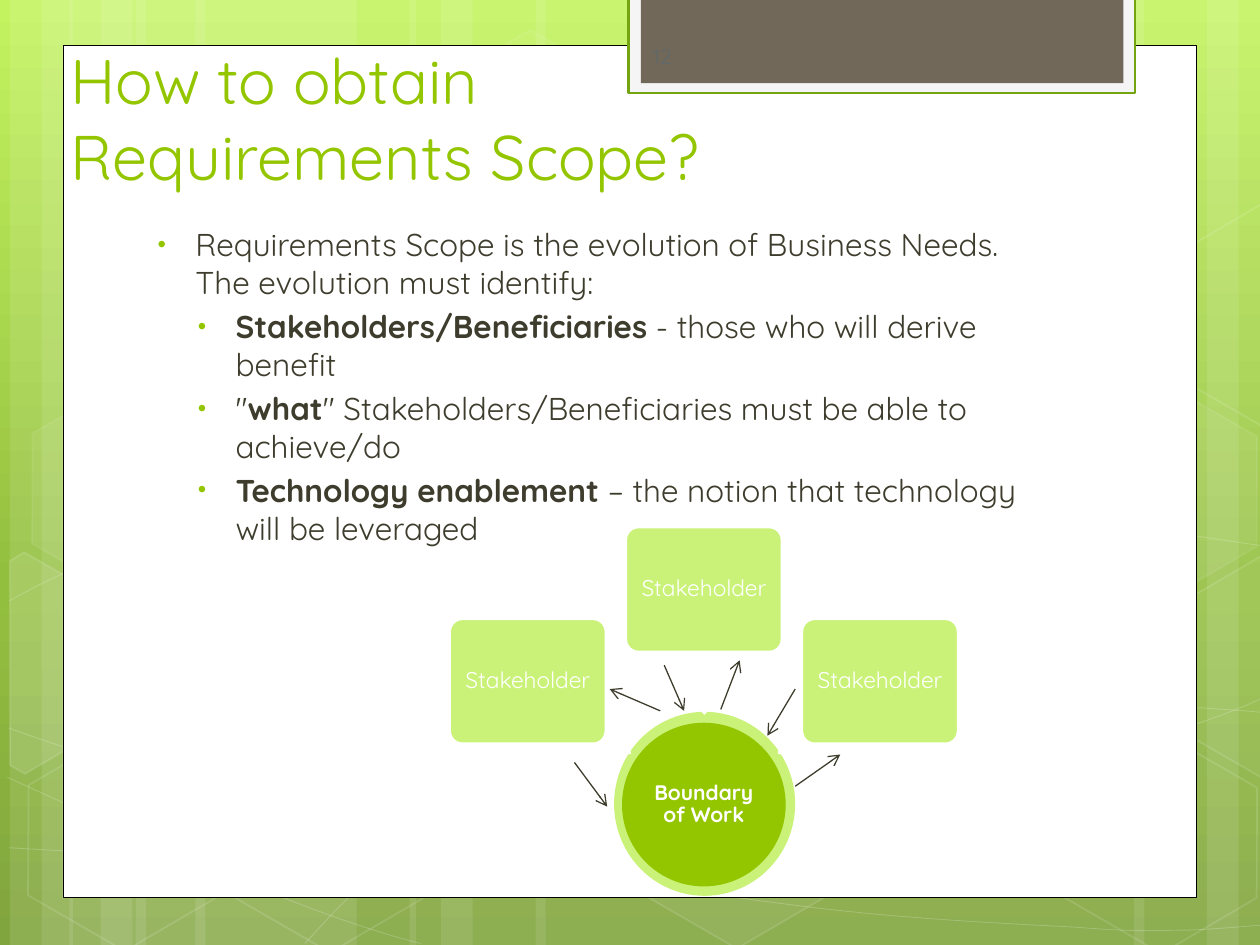
from copy import deepcopy

from lxml import etree
from pptx import Presentation
from pptx.dml.color import RGBColor
from pptx.enum.shapes import MSO_CONNECTOR, MSO_SHAPE
from pptx.enum.text import MSO_ANCHOR, PP_ALIGN
from pptx.oxml.ns import qn
from pptx.util import Cm, Pt

RECT, ELLIPSE, HEXAGON = MSO_SHAPE.RECTANGLE, MSO_SHAPE.OVAL, MSO_SHAPE.HEXAGON
ROUNDED, LEFT_ARROW = MSO_SHAPE.ROUNDED_RECTANGLE, MSO_SHAPE.LEFT_ARROW
STRAIGHT = MSO_CONNECTOR.STRAIGHT
MIDDLE, BOTTOM, TOP = MSO_ANCHOR.MIDDLE, MSO_ANCHOR.BOTTOM, MSO_ANCHOR.TOP
CENTER, LEFT = PP_ALIGN.CENTER, PP_ALIGN.LEFT

WHITE, GREEN, LIME, INK = "FFFFFF", "94C600", "CAF278", "3E3D2D"
BACKDROP = [(0, "C3F35F"), (0.62, "93BF3F"), (1, "81A53E")]


def rgb(value):
    return RGBColor.from_string(value)


class SlideBuilder:
    font = "Quicksand"

    def __init__(self, slide):
        self.slide = slide
        self.shapes = slide.shapes

    def backdrop(self, stops):
        fill = self.slide.background.fill
        fill.gradient()
        fill.gradient_angle = 270
        stop_list = self.slide._element.find(".//" + qn("a:gsLst"))
        stop_list.append(deepcopy(stop_list[0]))
        for stop, (position, color) in zip(fill.gradient_stops, stops):
            stop.position = position
            stop.color.rgb = rgb(color)

    def paint(self, shape, fill=None, alpha=100, line=None, weight=1, line_alpha=100):
        shape.shadow.inherit = False
        parts = [(shape.fill, shape._element.spPr, fill, alpha),
                 (shape.line.fill, shape.line._ln, line, line_alpha)]
        for part, owner, color, opacity in parts:
            if color is None:
                part.background()
                continue
            part.solid()
            part.fore_color.rgb = rgb(color)
            if opacity < 100:
                shade = owner.find(qn("a:solidFill"))[0]
                etree.SubElement(shade, qn("a:alpha"), val=str(opacity * 1000))
        if line:
            shape.line.width = Pt(weight)

    def shape(self, kind, left, top, width, height, fill=None, rotation=0, adjust=(), **paint):
        shape = self.shapes.add_shape(kind, Cm(left), Cm(top), Cm(width), Cm(height))
        shape.rotation = rotation
        for i, value in enumerate(adjust):
            shape.adjustments[i] = value
        self.paint(shape, fill, **paint)
        return shape

    def outline(self, points, closed=False, rotation=0, **paint):
        builder = self.shapes.build_freeform(*(Cm(v) for v in points[0]), scale=1.0)
        builder.add_line_segments([(Cm(x), Cm(y)) for x, y in points[1:]], close=closed)
        shape = builder.convert_to_shape()
        shape.rotation = rotation
        self.paint(shape, **paint)
        return shape

    def curve(self, points, **paint):
        """Chain of cubic curves: a start, then two controls and an end for each."""
        segments = list(self.outline(points, **paint)._element.iter(qn("a:lnTo")))
        for i in range(0, len(segments), 3):
            cubic = etree.Element(qn("a:cubicBezTo"))
            segments[i].addprevious(cubic)
            for segment in segments[i:i + 3]:
                cubic.append(segment[0])
                segment.getparent().remove(segment)

    def text(self, shape, paragraphs, size, color, anchor=TOP, align=LEFT,
             inset=(0.25, 0.13), bold=None, spacing=None):
        """Each paragraph is a list of (text, bold) runs."""
        frame = shape.text_frame
        frame.word_wrap = True
        frame.vertical_anchor = anchor
        frame.margin_left = frame.margin_right = Cm(inset[0])
        frame.margin_top = frame.margin_bottom = Cm(inset[1])
        for i, runs in enumerate(paragraphs):
            paragraph = frame.add_paragraph() if i else frame.paragraphs[0]
            paragraph.alignment = align
            paragraph.line_spacing = spacing
            font = paragraph.font
            font.name, font.size, font.bold = self.font, Pt(size), bold
            font.color.rgb = rgb(color)
            paragraph._p.pPr.find(qn("a:defRPr")).set("kern", "0")
            for words, strong in runs:
                run = paragraph.add_run()
                run.text = words
                if strong:
                    run.font.bold = True
        return frame

    def title(self, words, left, top, width, height):
        title = self.shapes.title
        self.shapes._spTree.append(title._element)
        title.left, title.top, title.width, title.height = map(Cm, (left, top, width, height))
        title.text_frame.text = words
        self.text(title, [[]], 36, GREEN, anchor=BOTTOM)

    def textbox(self, left, top, width, height, paragraphs, size, color):
        box = self.shapes.add_textbox(Cm(left), Cm(top), Cm(width), Cm(height))
        return self.text(box, paragraphs, size, color)

    def bullet(self, paragraph, level, margin):
        paragraph.level = level
        paragraph.space_before = Pt(3.6)
        props = paragraph._p.get_or_add_pPr()
        props.set("marL", str(Cm(margin)))
        props.set("indent", str(Cm(-0.76)))
        color = etree.Element(qn("a:buClr"))
        etree.SubElement(color, qn("a:srgbClr"), val=GREEN)
        marks = [color, etree.Element(qn("a:buSzPct"), val="76000"),
                 etree.Element(qn("a:buFont"), typeface="Arial"),
                 etree.Element(qn("a:buChar"), char="•")]
        defaults = props.find(qn("a:defRPr"))
        for mark in marks:
            defaults.addprevious(mark)

    def arrow(self, x1, y1, x2, y2):
        arrow = self.shapes.add_connector(STRAIGHT, Cm(x1), Cm(y1), Cm(x2), Cm(y2))
        arrow.line.color.rgb = rgb(INK)
        arrow.line.width = Pt(0.75)
        etree.SubElement(arrow.line._ln, qn("a:tailEnd"), type="arrow")
        etree.SubElement(arrow._element.spPr, qn("a:effectLst"))


deck = Presentation()
deck.slide_width, deck.slide_height = Cm(25.4), Cm(19.05)
page = SlideBuilder(deck.slides.add_slide(deck.slide_layouts[5]))

# Backdrop: gradient, light bands, thin curves and hexagons
page.backdrop(BACKDROP)
for left, width, turn in [(2.74, 4.45, 0), (0.2, 1.27, 0), (0.84, 2.11, 0), (3.94, 4.45, 0),
                          (1.4, 1.27, 0), (2.03, 2.11, 0), (18.62, 4.45, 180),
                          (24.33, 1.27, 180), (22.86, 2.11, 180), (10.8, 7.82, 0),
                          (8.26, 1.27, 0), (8.89, 2.11, 0)]:
    page.shape(RECT, left, 0, width, 19.05, WHITE, rotation=turn, alpha=10)

curves = [
    [(0.18, 17.09), (1.55, 17.17), (2.92, 17.25), (4.83, 17.22), (6.73, 17.2), (9.09, 17.15),
     (11.63, 16.89), (14.17, 16.64), (17.78, 16.15), (20.12, 15.67), (22.43, 15.19),
     (24.82, 14.43), (25.58, 14)],
    [(0.18, 12.12), (0.91, 11.71), (1.65, 11.33), (3.07, 10.95), (4.52, 10.52), (6.58, 10.01),
     (8.81, 9.83), (11.07, 9.65), (13.82, 9.63), (16.61, 9.83), (19.41, 10.03),
     (24.05, 10.82), (25.58, 11.02)],
    [(0.15, 15.67), (3.23, 17.07), (6.27, 18.47), (8.48, 19.02)],
    [(0.18, 14.68), (0.97, 14.96), (1.78, 15.24), (3.25, 15.65), (4.72, 16.03), (6.93, 16.66),
     (9.07, 17.09), (11.18, 17.53), (13.84, 17.98), (15.95, 18.24), (18.06, 18.52),
     (20.32, 18.62), (21.67, 18.69), (22.99, 18.8), (23.34, 18.75), (24, 18.75),
     (24.66, 18.72), (25.12, 18.67), (25.58, 18.64)],
    [(6.15, 19.02), (6.6, 18.52), (7.06, 18.01), (7.67, 17.55), (8.28, 17.09), (9.14, 16.59),
     (9.86, 16.23), (10.57, 15.88), (11, 15.72), (11.94, 15.47), (12.85, 15.21),
     (14.55, 14.86), (15.44, 14.68), (16.36, 14.5), (16.48, 14.5), (17.27, 14.45),
     (18.06, 14.38), (19.3, 14.3), (20.17, 14.27), (21.06, 14.25), (22.5, 14.27),
     (22.5, 14.27), (23, 14.27), (23.7, 14.27), (24.21, 14.27), (24.66, 14.3),
     (25.1, 14.33), (25.32, 14.35), (25.55, 14.38), (25.48, 14.35), (25.55, 14.38)],
]
for points in curves:
    page.curve(points, line=WHITE, weight=0.5, line_alpha=20)

left_cut = [(-0.85, 11.97), (-0.69, 11.67), (1.56, 11.66), (2.65, 13.61), (1.56, 15.53),
            (1.21, 15.53)]
right_cut = [(23.28, 13.19), (24.37, 11.27), (24.61, 11.28), (26.73, 14.95), (26.63, 15.13),
             (24.4, 15.13)]
upper_cut = [(x, y - 7.09) for x, y in right_cut]
for left, top, alpha, edge in [(8.48, 0.91, 4, 8), (12.62, 14.96, 6, 12), (0.28, 15.01, 0, 12),
                               (0.36, 7.92, 7, 8), (4.42, 15.04, 0, 12), (19.13, 11.51, 10, 12),
                               (21.18, 15.06, 0, 12), (21.18, 7.98, 7, 8)]:
    page.shape(HEXAGON, left, top, 4.45, 3.86, WHITE if alpha else None, rotation=30,
               adjust=[0.285], alpha=alpha, line=WHITE, line_alpha=edge)
for cut, fill, alpha in [(left_cut, WHITE, 10), (right_cut, WHITE, 4), (upper_cut, None, 0)]:
    page.outline(cut, closed=True, rotation=30, fill=fill, alpha=alpha, line=WHITE,
                 line_alpha=12)

# White panel, page tab and ring
page.shape(RECT, 1.27, 0.91, 22.86, 17.19, WHITE, line="000000", weight=0.5)
page.shape(RECT, 12.67, -0.05, 10.21, 1.93, "F5F5F5", line="74A510", weight=1.25)
page.shape(RECT, 12.92, -0.05, 9.73, 1.73, "71685A")
page.textbox(12.91, 0.75, 2, 0.8, [[("12", False)]], 12, "60686A")
page.shape(ELLIPSE, 12.38, 14.35, 3.65, 3.71, LIME)

# Title and bullets
page.title("How to obtain \vRequirements Scope?", 1.17, 0.84, 19.51, 3.18)
points = [
    [("Requirements Scope is the evolution of Business Needs. The evolution must identify:", False)],
    [("Stakeholders/Beneficiaries", True), (" - those who will derive benefit", False)],
    [('"', False), ("what", True),
     ('" Stakeholders/Beneficiaries must be able to achieve/do', False)],
    [("Technology enablement ", True),
     ("– the notion that technology will be leveraged", False)],
]
scope = page.textbox(2.72, 4.41, 18.82, 9.75, points, 18, INK)
for i, point in enumerate(scope.paragraphs):
    page.bullet(point, min(i, 1), 1.78 if i else 0.97)

# Boundary of work and its stakeholders
boundary = page.shape(ELLIPSE, 12.54, 14.57, 3.3, 3.3, GREEN)
page.text(boundary, [[("Boundary of Work", False)]], 12, WHITE, MIDDLE, CENTER,
          (0.03, 0.03), bold=True, spacing=0.9)
for i, (top, notch_top, angle) in enumerate([(12.48, 14, 215), (10.63, 12.67, 270),
                                             (12.48, 14, 325)]):
    page.shape(LEFT_ARROW, 10.41 + 2.52 * i, notch_top, 2.54, 0.94, WHITE,
               rotation=angle, adjust=[0.6, 0.5])
    stakeholder = page.shape(ROUNDED, 9.07 + 3.55 * i, top, 3.14, 2.51, LIME,
                             adjust=[0.1], line=WHITE, weight=1.25)
    page.text(stakeholder, [[("Stakeholder", False)]], 13, WHITE, MIDDLE, CENTER,
              (0.08, 0.08), spacing=0.9)

# Exchange arrows
for ends in [(11.58, 15.37, 12.24, 16.26), (13.31, 14.33, 12.29, 13.89),
             (13.39, 13.41, 13.79, 14.33), (14.53, 14.3, 14.91, 13.31),
             (16.03, 13.89, 15.47, 14.83), (16.03, 15.85, 16.94, 15.21)]:
    page.arrow(*ends)

deck.save("out.pptx")
